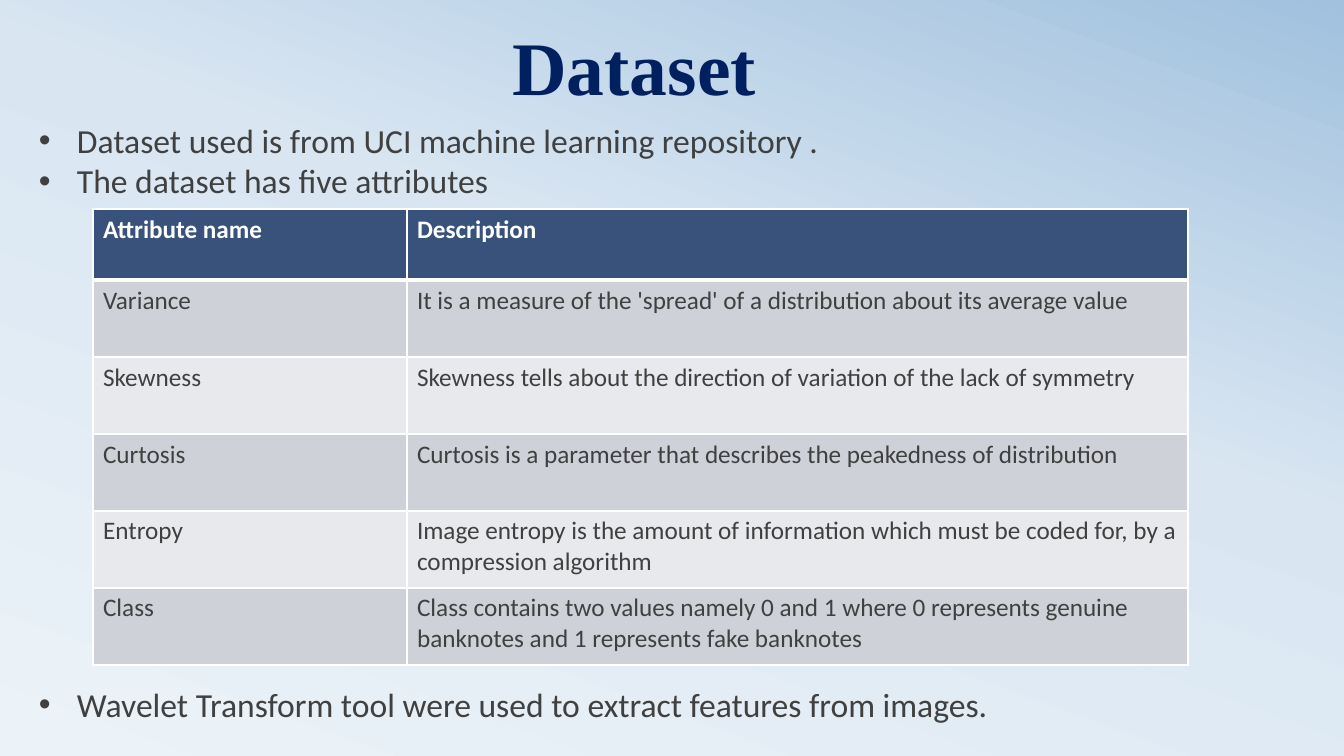
from copy import deepcopy

from lxml import etree
from pptx import Presentation
from pptx.dml.color import RGBColor
from pptx.enum.text import MSO_ANCHOR, PP_ALIGN
from pptx.oxml.ns import qn
from pptx.util import Pt

BOTTOM, TOP = MSO_ANCHOR.BOTTOM, MSO_ANCHOR.TOP
CENTER, LEFT = PP_ALIGN.CENTER, PP_ALIGN.LEFT

EMU_PER_INCH = 914400
PX_PER_INCH = 100.8
COLORS = {
    "title": "002060",
    "text": "404040",
    "white": "FFFFFF",
    "header": "39527B",
    "odd_row": "CED1D7",
    "even_row": "E8E9EC",
}
BACKGROUND_STOPS = [(0, "ECF3F8"), (0.58, "D9E6F2"), (1, "A1C1DE")]
INTRO = [
    "Dataset used is from UCI machine learning repository .",
    "The dataset has five attributes",
]
CLOSING = ["Wavelet Transform tool were used to extract features from images."]
ATTRIBUTES = [
    ("Attribute name", "Description"),
    ("Variance", "It is a measure of the 'spread' of a distribution about its average value"),
    ("Skewness", "Skewness tells about the direction of variation of the lack of symmetry"),
    ("Curtosis", "Curtosis is a parameter that describes the peakedness of distribution"),
    ("Entropy", "Image entropy is the amount of information which must be coded for, "
                "by a compression algorithm"),
    ("Class", "Class contains two values namely 0 and 1 where 0 represents genuine "
              "banknotes and 1 represents fake banknotes"),
]


def px(length):
    """Turn a length in px into EMU."""
    return round(length * EMU_PER_INCH / PX_PER_INCH)


def color(name):
    """Return the named colour."""
    return RGBColor.from_string(COLORS[name])


def set_font(paragraph, name, size, color_name, bold=False):
    """Set the font of a whole paragraph."""
    font = paragraph.font
    font.name, font.size, font.bold = name, Pt(size), bold
    font.color.rgb = color(color_name)


def paint_background(slide):
    """Fill the slide background with a three-stop gradient."""
    fill = slide.background.fill
    fill.gradient()
    stop_list = slide.element.find(".//" + qn("a:gsLst"))
    stop_list.append(deepcopy(stop_list[-1]))
    for stop, (position, value) in zip(fill.gradient_stops, BACKGROUND_STOPS):
        stop.position = position
        stop.color.rgb = RGBColor.from_string(value)
    fill.gradient_angle = 70


def add_title(slide, text, left, top, width, height):
    """Place and format the title placeholder."""
    title = slide.shapes.title
    title.left, title.top = px(left), px(top)
    title.width, title.height = px(width), px(height)
    title.text_frame.text = text
    title.text_frame.vertical_anchor = BOTTOM
    paragraph = title.text_frame.paragraphs[0]
    paragraph.alignment = CENTER
    paragraph.line_spacing = 0.8
    set_font(paragraph, "Times New Roman", 54, "title", True)


def add_bullets(slide, lines, left, top, width, height):
    """Add a text box with one bullet per line."""
    frame = slide.shapes.add_textbox(px(left), px(top), px(width), px(height)).text_frame
    frame.word_wrap = True
    frame.vertical_anchor = TOP
    frame.text = "\n".join(lines)
    for paragraph in frame.paragraphs:
        paragraph.alignment = LEFT
        set_font(paragraph, "Calibri", 24, "text")
        properties = paragraph._p.get_or_add_pPr()
        properties.set("marL", str(px(38)))
        properties.set("indent", str(-px(38)))
        bullet_font = etree.Element(qn("a:buFont"), typeface="Arial")
        bullet = etree.Element(qn("a:buChar"), char="•")
        properties.insert_element_before(bullet_font, "a:tabLst", "a:defRPr", "a:extLst")
        bullet_font.addnext(bullet)


def set_borders(cell, top_width, bottom_width):
    """Draw white borders around a cell, with widths in points."""
    properties = cell._tc.get_or_add_tcPr()
    for side, width in (("L", 1), ("R", 1), ("T", top_width), ("B", bottom_width)):
        line = etree.SubElement(properties, qn(f"a:ln{side}"), w=str(Pt(width)))
        fill = etree.SubElement(line, qn("a:solidFill"))
        etree.SubElement(fill, qn("a:srgbClr"), val=COLORS["white"])


def add_attribute_table(slide, rows, left, top, column_widths, header_height, row_height):
    """Add the table of attributes with a header and banded rows."""
    height = header_height + row_height * (len(rows) - 1)
    table = slide.shapes.add_table(
        len(rows), len(column_widths), px(left), px(top), px(sum(column_widths)), px(height)
    ).table
    for column, width in zip(table.columns, column_widths):
        column.width = px(width)
    for index, texts in enumerate(rows):
        is_header = index == 0
        table.rows[index].height = px(header_height if is_header else row_height)
        band = "header" if is_header else "odd_row" if index % 2 else "even_row"
        for cell, text in zip(table.rows[index].cells, texts):
            set_borders(cell, 3 if index == 1 else 1, 3 if is_header else 1)
            cell.fill.solid()
            cell.fill.fore_color.rgb = color(band)
            cell.text = text
            set_font(cell.text_frame.paragraphs[0], "Calibri", 18,
                     "white" if is_header else "text", is_header)


def add_dataset_slide(presentation):
    """Build the slide about the dataset."""
    slide = presentation.slides.add_slide(presentation.slide_layouts[5])
    paint_background(slide)
    add_title(slide, "Dataset", 29, 21, 1210, 94)
    add_bullets(slide, INTRO, 29, 115, 1223, 91)
    add_attribute_table(slide, ATTRIBUTES, 93, 209, (314, 781), 71, 77)
    add_bullets(slide, CLOSING, 29, 679, 1223, 51)


def main():
    """Create and save the presentation."""
    presentation = Presentation()
    presentation.slide_width, presentation.slide_height = px(1344), px(756)
    add_dataset_slide(presentation)
    presentation.save("out.pptx")


if __name__ == "__main__":
    main()
